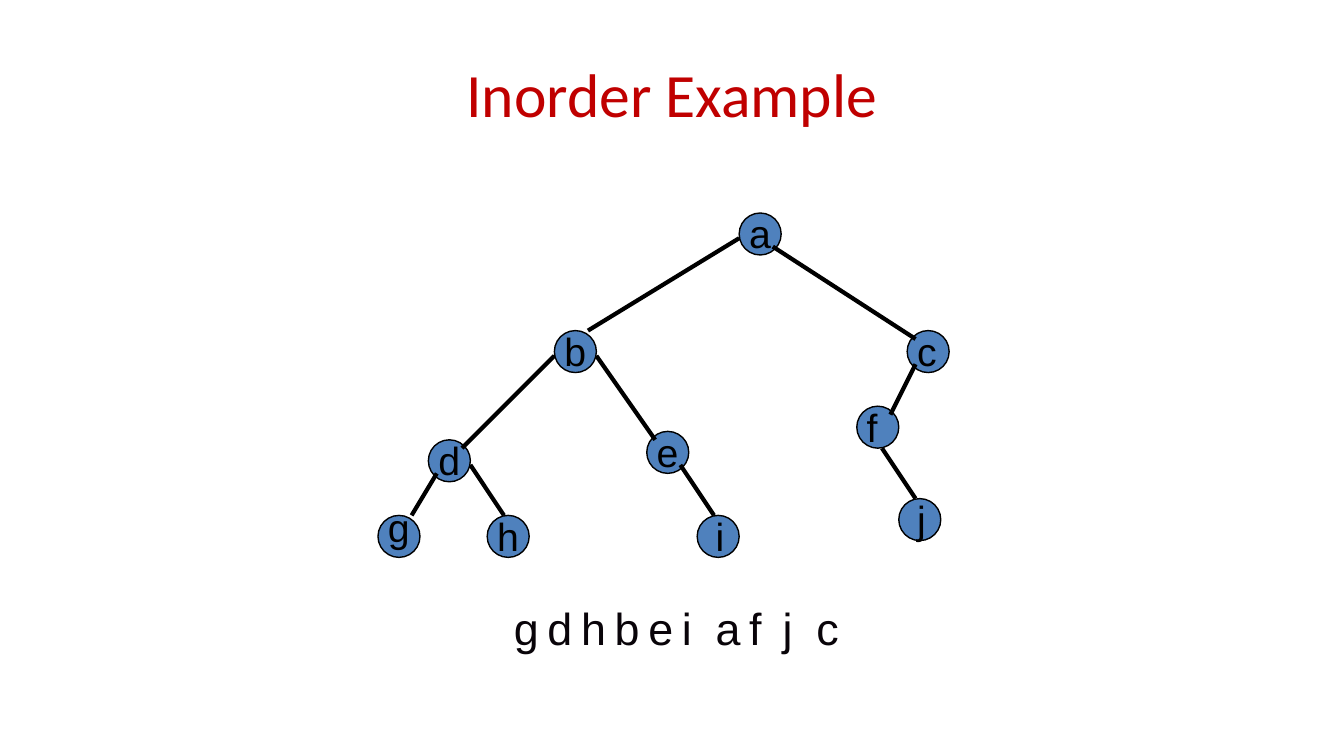
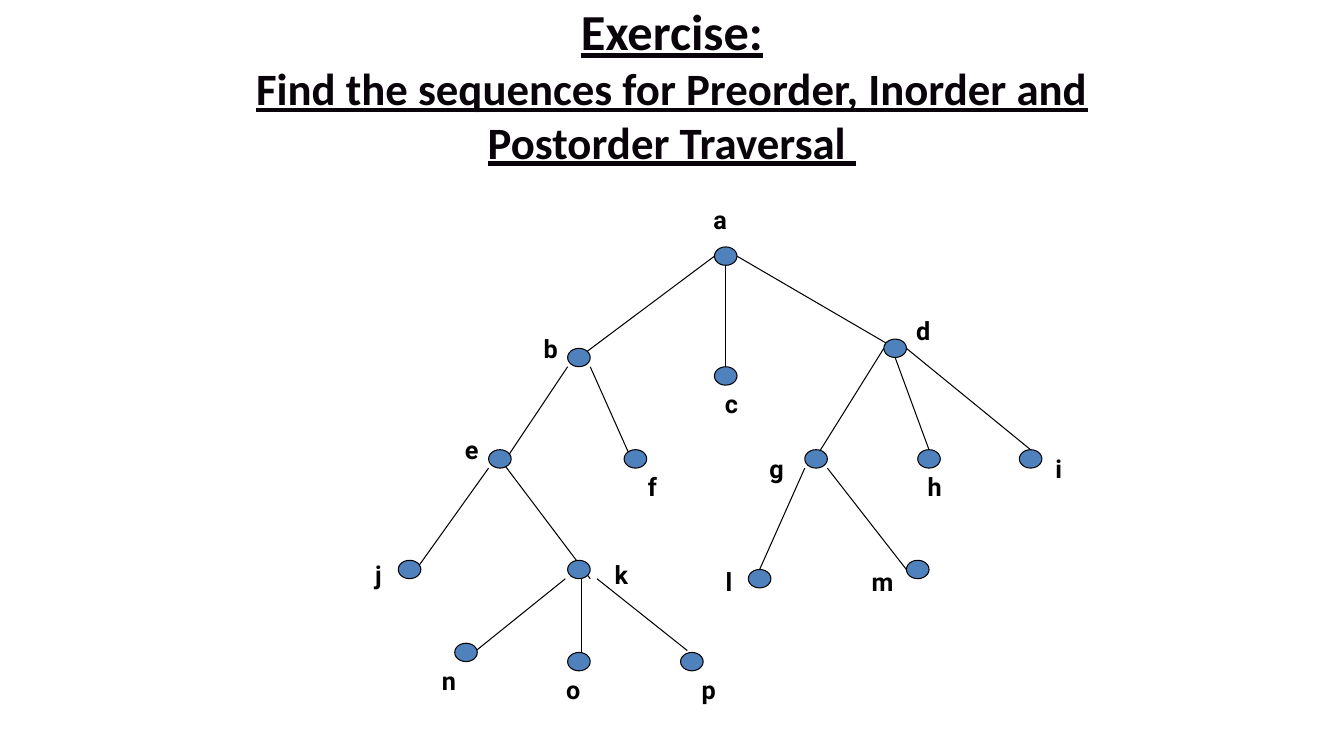
from dataclasses import dataclass

from lxml import etree
from pptx import Presentation
from pptx import util as u
from pptx.dml.color import RGBColor
from pptx.enum import shapes, text
from pptx.oxml.ns import qn


@dataclass(frozen=True)
class Theme:
    node: str = "4F81BD"
    black: str = "000000"
    ink: str = "090409"
    red: str = "C00000"
    head: str = "Calibri"
    body: str = "Arial"
    tag: str = "Roboto"
    title: int = 44
    sub: int = 36
    small: int = 32
    letter: int = 28
    mark: int = 18


@dataclass(frozen=True)
class Grid:
    """Origin and cell size, in inches."""
    left: float
    top: float
    col: float
    row: float

    def point(self, x, y):
        return u.Inches(self.left + x * self.col), u.Inches(self.top + y * self.row)

    def box(self, x, y, w, h):
        return *self.point(x, y), u.Inches(w * self.col), u.Inches(h * self.row)


WIDE, HIGH = 13.33, 7.5
PAGE = Grid(0, 0, WIDE / 160, HIGH / 90)
BINARY = Grid(0, 0.03, WIDE / 160, HIGH / 90)
WIDER = Grid(3.95, 2.45, 0.56 / 5, 0.64 / 7)


def color(code):
    return RGBColor.from_string(code)


def write(shape, lines, size, font, ink, align="LEFT", anchor="TOP", bold=False, line=False):
    """Fill a shape with text; lines is a string or (string, size) pairs."""
    frame = shape.text_frame
    frame.word_wrap = True
    frame.vertical_anchor = getattr(text.MSO_ANCHOR, anchor)
    para = frame.paragraphs[0]
    para.alignment = getattr(text.PP_ALIGN, align)
    pairs = [(lines, size)] if isinstance(lines, str) else lines
    for i, (words, points) in enumerate(pairs):
        if i:
            para.add_line_break()
        run = para.add_run()
        run.text = words
        run.font.size = u.Pt(points)
        run.font.name = font
        run.font.bold = bold
        run.font.underline = line
        run.font.color.rgb = color(ink)


class Deck:
    def __init__(self, theme):
        self.theme = theme
        self.show = Presentation()
        self.show.slide_width = u.Inches(WIDE)
        self.show.slide_height = u.Inches(HIGH)

    def start(self, grid):
        self.grid = grid
        self.slide = self.show.slides.add_slide(self.show.slide_layouts[6])

    def title(self, lines, box, ink, **style):
        shape = self.slide.shapes.add_textbox(*PAGE.box(*box))
        write(shape, lines, self.theme.title, self.theme.head, ink,
              align="CENTER", anchor="MIDDLE", **style)

    def label(self, words, box, size, font, ink, **style):
        shape = self.slide.shapes.add_textbox(*self.grid.box(*box))
        write(shape, words, size, font, ink, **style)

    def node(self, x, y, w, h, width):
        dot = self.slide.shapes.add_shape(
            shapes.MSO_SHAPE.OVAL, *self.grid.box(x, y, w, h))
        dot.shadow.inherit = False
        dot.fill.solid()
        dot.fill.fore_color.rgb = color(self.theme.node)
        dot.line.color.rgb = color(self.theme.black)
        dot.line.width = u.Pt(width)

    def edge(self, start, end, width):
        line = self.slide.shapes.add_connector(
            shapes.MSO_CONNECTOR.STRAIGHT,
            *self.grid.point(*start), *self.grid.point(*end))
        line.line.color.rgb = color(self.theme.black)
        line.line.width = u.Pt(width)
        etree.SubElement(line._element.spPr, qn("a:effectLst"))


def inorder(deck):
    look = deck.theme
    nodes = {
        "a": (88, 25), "b": (66, 39), "c": (108, 39), "d": (51, 52), "e": (77, 51),
        "f": (102, 48), "g": (45, 61), "h": (58, 61), "i": (83, 61), "j": (107, 59),
    }
    shifts = {"g": (0, -2), "i": (1, -1), "j": (1, -1)}
    edges = [
        ((88, 28), (70, 39)), ((92, 29), (109, 40)), ((66, 42), (55, 53)),
        ((71, 42), (78, 52)), ((109, 43), (106, 49)), ((52, 56), (49, 61)),
        ((56, 55), (60, 61)), ((81, 55), (85, 61)), ((105, 53), (109, 59)),
    ]
    deck.start(BINARY)
    deck.title("Inorder Example", (8, 3.6, 144, 15), look.red)
    for x, y in nodes.values():
        deck.node(x, y, 5, 5, 1)
    for start, end in edges:
        deck.edge(start, end, 3)
    for name, (x, y) in nodes.items():
        dx, dy = shifts.get(name, (0, -1))
        deck.label(name, (x + dx, y + dy, 10, 6.8), look.letter, look.body, look.black)
    for i, name in enumerate("gdhbeiafjc"):
        deck.label(name, (60 + 4 * i, 70.6, 5, 7.6), look.small, look.body, look.ink)


def exercise(deck):
    look = deck.theme
    # name: (node column, row), (label column, row)
    nodes = {
        "a": ((28, 0), (24, -5)), "b": ((15, 11), (9, 9)),
        "c": ((28, 13), (25, 15)), "d": ((43, 10), (42, 7)),
        "e": ((8, 22), (2, 20)), "f": ((20, 22), (18, 24)),
        "g": ((36, 22), (29, 22)), "h": ((46, 22), (43, 24)),
        "i": ((55, 22), (54, 22)), "j": ((0, 34), (-6.25, 33.5)),
        "k": ((15, 34), (15.25, 33.5)), "l": ((31, 35), (24.8, 34.25)),
        "m": ((45, 34), (38.4, 34.25)), "n": ((5, 43), (0, 45)),
        "o": ((15, 44), (11, 46)), "p": ((25, 44), (23, 46)),
    }
    edges = [
        ((28, 1), (16, 12)), ((29, 2), (29, 13)), ((30, 1), (44, 11)),
        ((15, 13), (9, 24)), ((17, 13), (21, 24)), ((43, 11), (37, 22.8)),
        ((44, 12), (47, 22)), ((45, 11), (56, 22)), ((8, 24), (1, 36)),
        ((9, 23), (17, 36)), ((36, 24), (32, 35)), ((38, 24), (45, 35)),
        ((14.8, 36), (6.9, 43.8)), ((16.25, 36), (16.25, 44)), ((17.6, 36), (25.6, 43.8)),
    ]
    deck.start(WIDER)
    deck.title([
        ("Exercise:", look.sub),
        ("Find the sequences for Preorder, Inorder and Postorder Traversal ", look.small),
    ], (26, 6, 108, 8), look.ink, bold=True, line=True)
    for start, end in edges:
        deck.edge(start, end, 0.75)
    for name, (spot, tag) in nodes.items():
        deck.node(*spot, 2, 2, 0.75)
        deck.label(name, (*tag, 9, 4), look.mark, look.tag, look.black,
                   align="CENTER", anchor="MIDDLE", bold=True)


def main():
    deck = Deck(Theme())
    inorder(deck)
    exercise(deck)
    deck.show.save("out.pptx")


if __name__ == "__main__":
    main()
